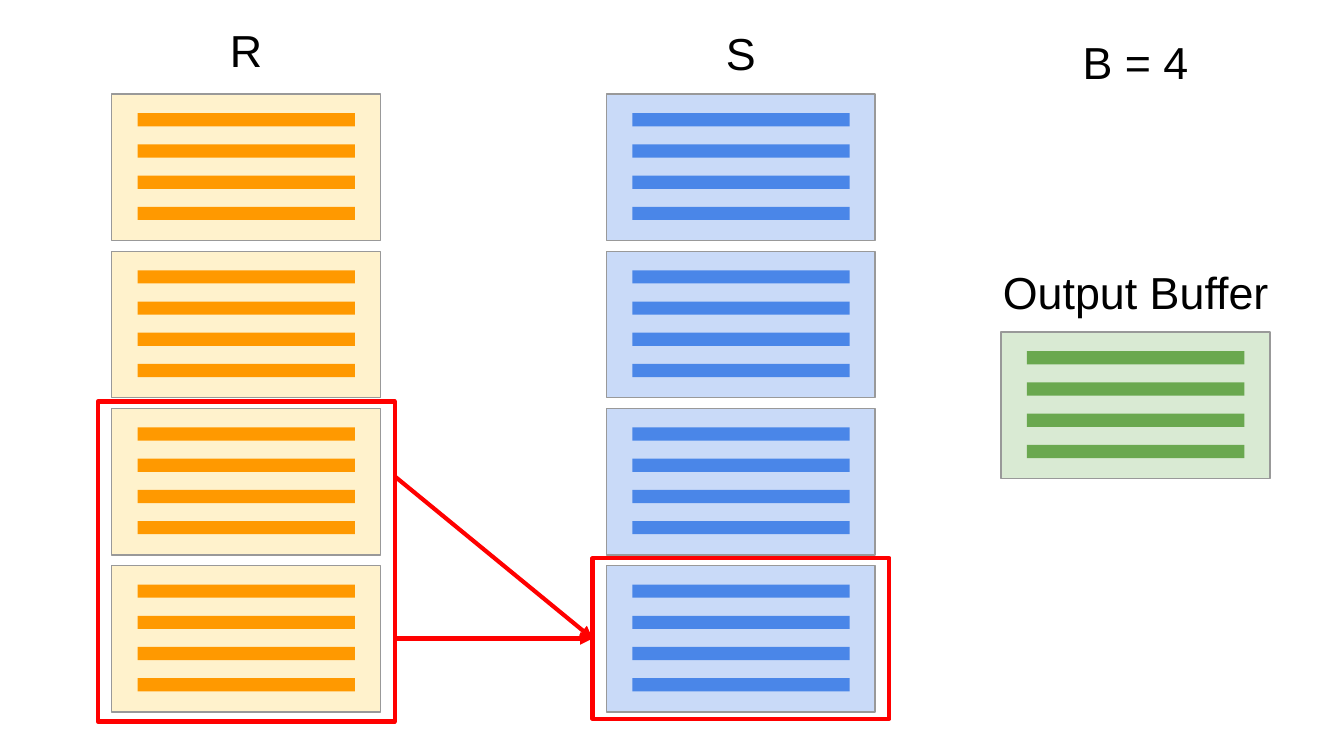
import pptx
import pptx.util
import pptx.dml.color
import pptx.enum.shapes
import pptx.enum.text
import pptx.oxml.ns
import lxml.etree

Cm = pptx.util.Cm
Pt = pptx.util.Pt


def color(value):
    return pptx.dml.color.RGBColor.from_string(value)


class Diagram:
    font = "Arial"
    text_size = 24
    text_color = "000000"
    border = "999999"
    accent = "FF0000"
    accent_width = 2.25
    page_width = 5.08
    page_height = 2.77

    def __init__(self, s):
        self.s = s

    def rect(self, x, y, w, h, fill=None, line=None, line_width=0.75):
        sp = self.s.shapes.add_shape(
            pptx.enum.shapes.MSO_SHAPE.RECTANGLE, Cm(x), Cm(y), Cm(w), Cm(h))
        sp.shadow.inherit = False
        if fill:
            sp.fill.solid()
            sp.fill.fore_color.rgb = color(fill)
        else:
            sp.fill.background()
        if line:
            sp.line.color.rgb = color(line)
            sp.line.width = Pt(line_width)
        else:
            sp.line.fill.background()
        return sp

    def page(self, x, y, fill, record_fill):
        self.rect(x, y, self.page_width, self.page_height, fill, self.border)
        for i in range(4):
            self.rect(x + 0.49, y + 0.36 + i * 0.59, 4.11, 0.25, record_fill)

    def label(self, text, x, y, w=page_width):
        sp = self.s.shapes.add_textbox(Cm(x), Cm(y), Cm(w), Cm(1.37))
        tf = sp.text_frame
        tf.word_wrap = True
        tf.margin_left = tf.margin_right = Cm(0.25)
        tf.margin_top = tf.margin_bottom = Cm(0.25)
        tf.text = text
        p = tf.paragraphs[0]
        p.alignment = pptx.enum.text.PP_ALIGN.CENTER
        r = p.runs[0]
        r.font.name = self.font
        r.font.size = Pt(self.text_size)
        r.font.color.rgb = color(self.text_color)

    def frame(self, x, y, h):
        return self.rect(x, y, 5.61, h, None, self.accent, self.accent_width)

    def arrow(self, x, y, target):
        c = self.s.shapes.add_connector(
            pptx.enum.shapes.MSO_CONNECTOR.STRAIGHT, Cm(x), Cm(y), Cm(x), Cm(y))
        c.end_connect(target, 1)
        c.line.color.rgb = color(self.accent)
        c.line.width = Pt(self.accent_width)
        qn = pptx.oxml.ns.qn
        ln = c.line._get_or_add_ln()
        lxml.etree.SubElement(ln, qn("a:tailEnd"), type="triangle")
        lxml.etree.SubElement(c._element.spPr, qn("a:effectLst"))


def main():
    prs = pptx.Presentation()
    prs.slide_width = Cm(25.4)
    prs.slide_height = Cm(14.29)
    d = Diagram(prs.slides.add_slide(prs.slide_layouts[6]))

    relations = [
        ("R", 2.11, 0.18, "FFF2CC", "FF9900"),
        ("S", 11.46, 0.23, "C9DAF8", "4A86E8"),
    ]
    for name, x, label_y, fill, record_fill in relations:
        for i in range(4):
            d.page(x, 1.78 + i * 2.97, fill, record_fill)
        d.label(name, x, label_y)
    d.label("B = 4", 18.92, 0.41)

    s_frame = d.frame(11.2, 10.55, 3.04)
    d.frame(1.85, 7.59, 6.05)
    for y in (9.02, 12.07):
        d.arrow(7.48, y, s_frame)

    d.page(18.92, 6.28, "D9EAD3", "6AA84F")
    d.label("Output Buffer", 18.66, 4.75, 5.61)

    prs.save("out.pptx")


if __name__ == "__main__":
    main()
